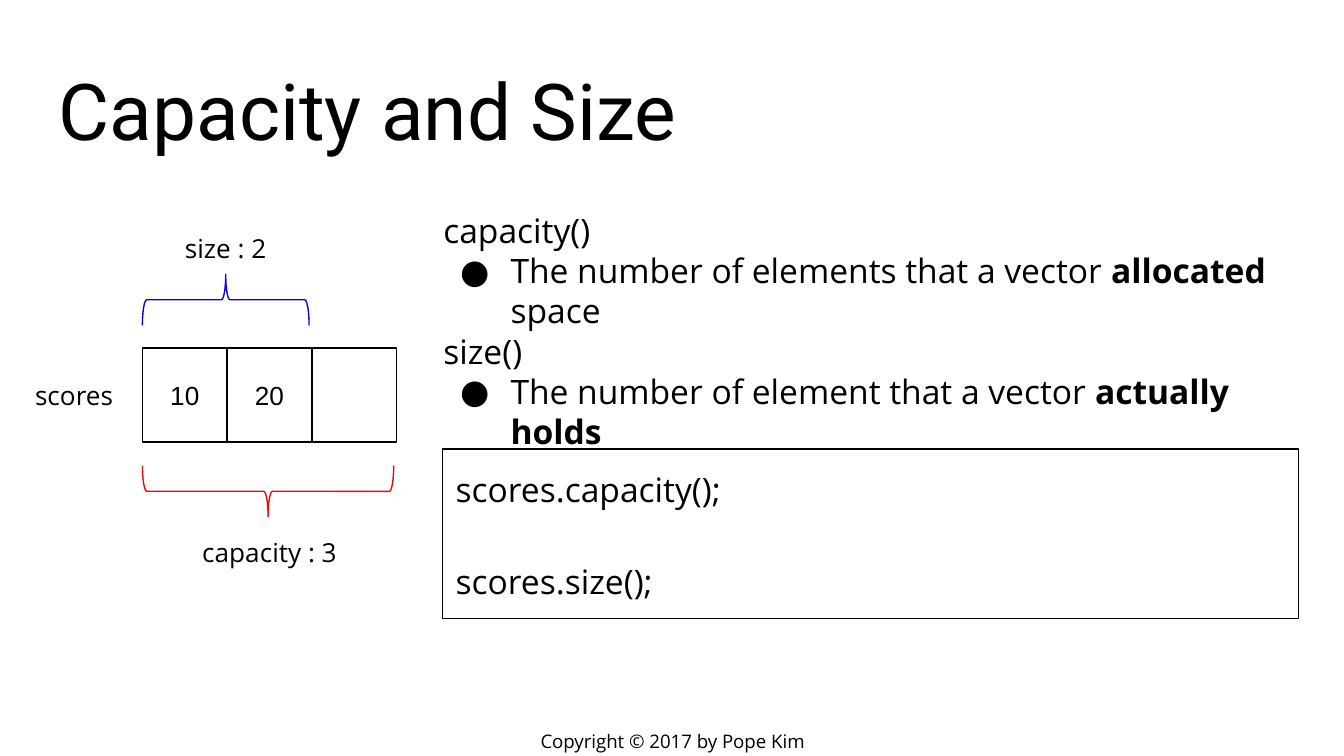
"""Build the slide that compares the capacity and the size of a vector."""
from lxml import etree
from pptx import Presentation
from pptx.dml.color import RGBColor
from pptx.enum.shapes import MSO_SHAPE as SHAPE
from pptx.enum.text import MSO_ANCHOR as ANCHOR, PP_ALIGN as ALIGN
from pptx.oxml.ns import qn
from pptx.util import Pt

BLACK = RGBColor(0, 0, 0)
RED = RGBColor(255, 0, 0)
BLUE = RGBColor(0, 0, 255)
SANS = "Open Sans"


def add_shape(kind, x, y, w, h, color):
    sp = s.shapes.add_shape(kind, Pt(x), Pt(y), Pt(w), Pt(h))
    sp.shadow.inherit = False
    sp.fill.background()
    sp.line.color.rgb = color
    sp.line.width = Pt(0.75)
    return sp


def write(sp, paragraphs, size, font=SANS, align=ALIGN.LEFT, anchor=ANCHOR.TOP):
    tf = sp.text_frame
    tf.word_wrap = True
    tf.vertical_anchor = anchor
    tf.margin_left = tf.margin_right = tf.margin_top = tf.margin_bottom = Pt(7.2)
    for i, runs in enumerate(paragraphs):
        p = tf.add_paragraph() if i else tf.paragraphs[0]
        p.alignment = align
        for text, bold in runs:
            r = p.add_run()
            r.text = text
            r.font.name = font
            r.font.size = Pt(size)
            r.font.bold = bold
            r.font.color.rgb = BLACK
    return tf


prs = Presentation()
prs.slide_width, prs.slide_height = Pt(720), Pt(405)
s = prs.slides.add_slide(prs.slide_layouts[6])

labels = [
    ("Copyright © 2017 by Pope Kim", 271.4, 389.5, 177.8, 15.1, 10, SANS, ALIGN.CENTER, ANCHOR.MIDDLE),
    ("Capacity and Size", 24.5, 25.2, 671, 65.5, 42, "Roboto", ALIGN.LEFT, ANCHOR.BOTTOM),
    ("scores", 4.3, 198.7, 63.4, 25.9, 14, SANS, ALIGN.RIGHT, ANCHOR.MIDDLE),
    ("capacity : 3", 95.8, 280.1, 97.2, 25.9, 14, SANS, ALIGN.CENTER, ANCHOR.TOP),
    ("size : 2", 84.2, 117.4, 73.4, 25.9, 14, SANS, ALIGN.CENTER, ANCHOR.TOP),
]
for text, x, y, w, h, size, font, align, anchor in labels:
    sp = s.shapes.add_textbox(Pt(x), Pt(y), Pt(w), Pt(h))
    write(sp, [[(text, False)]], size, font, align, anchor)

CELL_X, CELL_W = 76.3, 45.4
for i, value in enumerate(["10", "20", ""]):
    sp = add_shape(SHAPE.RECTANGLE, CELL_X + i * CELL_W, 186.5, CELL_W, 50.4, BLACK)
    if value:
        write(sp, [[(value, False)]], 14, "Arial", ALIGN.CENTER, ANCHOR.MIDDLE)

BRACE_W = 27.4
for span, middle, rotation, color in [(134.6, 263.2, 90, RED), (89.3, 160.6, 270, BLUE)]:
    x = CELL_X + (span - BRACE_W) / 2
    sp = add_shape(SHAPE.RIGHT_BRACE, x, middle - span / 2, BRACE_W, span, color)
    sp.rotation = rotation

definitions = [
    [("capacity()", False)],
    [("The number of elements that a vector ", False), ("allocated ", True), ("space", False)],
    [("size()", False)],
    [("The number of element that a vector ", False), ("actually holds", True)],
]
sp = s.shapes.add_textbox(Pt(230.4), Pt(105.1), Pt(481), Pt(125.3))
tf = write(sp, definitions, 18)
for p in tf.paragraphs[1::2]:
    pPr = p._p.get_or_add_pPr()
    pPr.set("marL", str(Pt(36)))
    pPr.set("indent", str(-Pt(27)))
    etree.SubElement(pPr, qn("a:buFont")).set("typeface", SANS)
    etree.SubElement(pPr, qn("a:buChar")).set("char", "●")

sp = add_shape(SHAPE.RECTANGLE, 237, 240.6, 458.5, 90.7, BLACK)
tf = write(sp, [[("scores.capacity();", False)], [("scores.size();", False)]], 18)
for p in tf.paragraphs:
    p.line_spacing = 1.15
tf.paragraphs[1].space_before = Pt(24.9)

prs.save("out.pptx")
